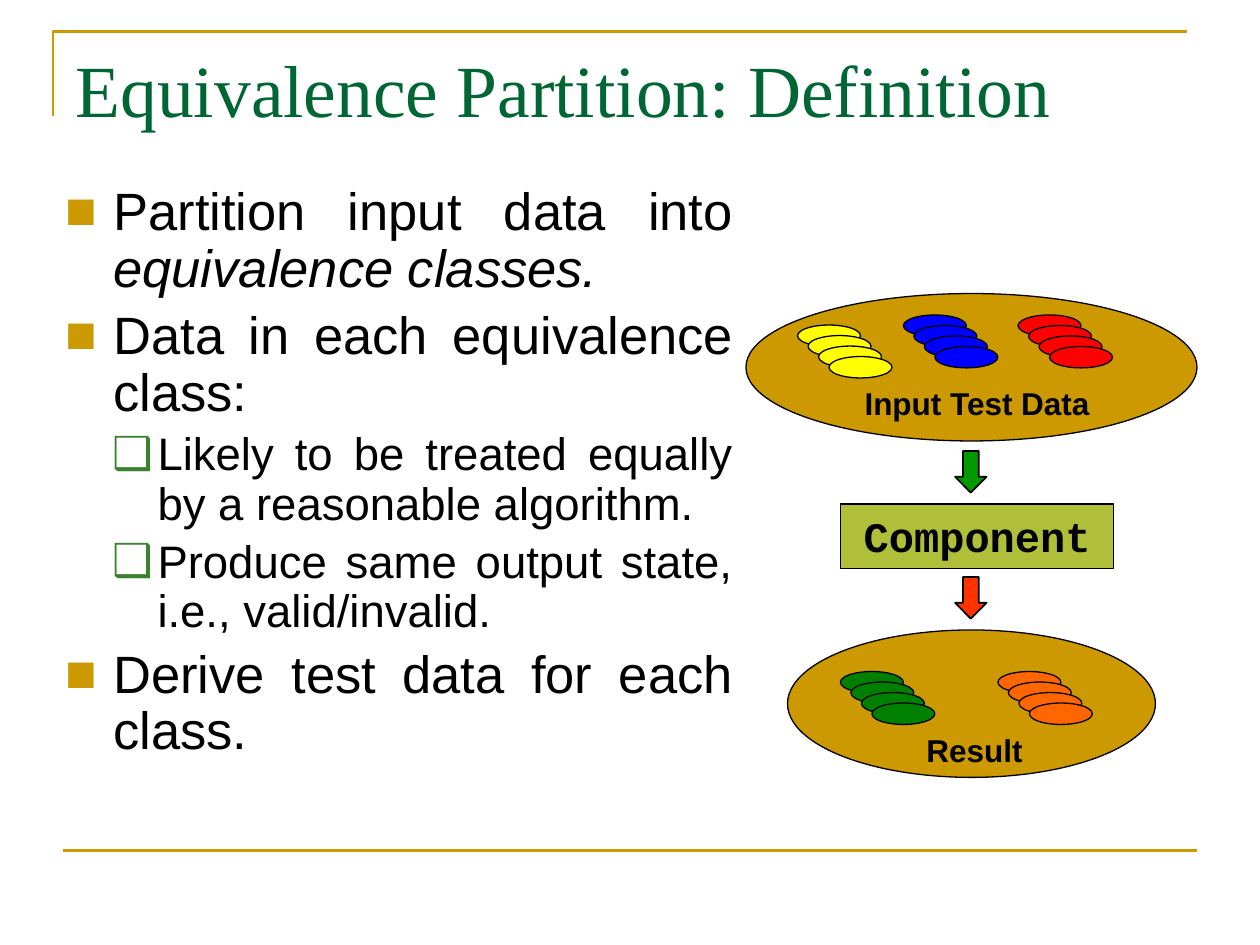
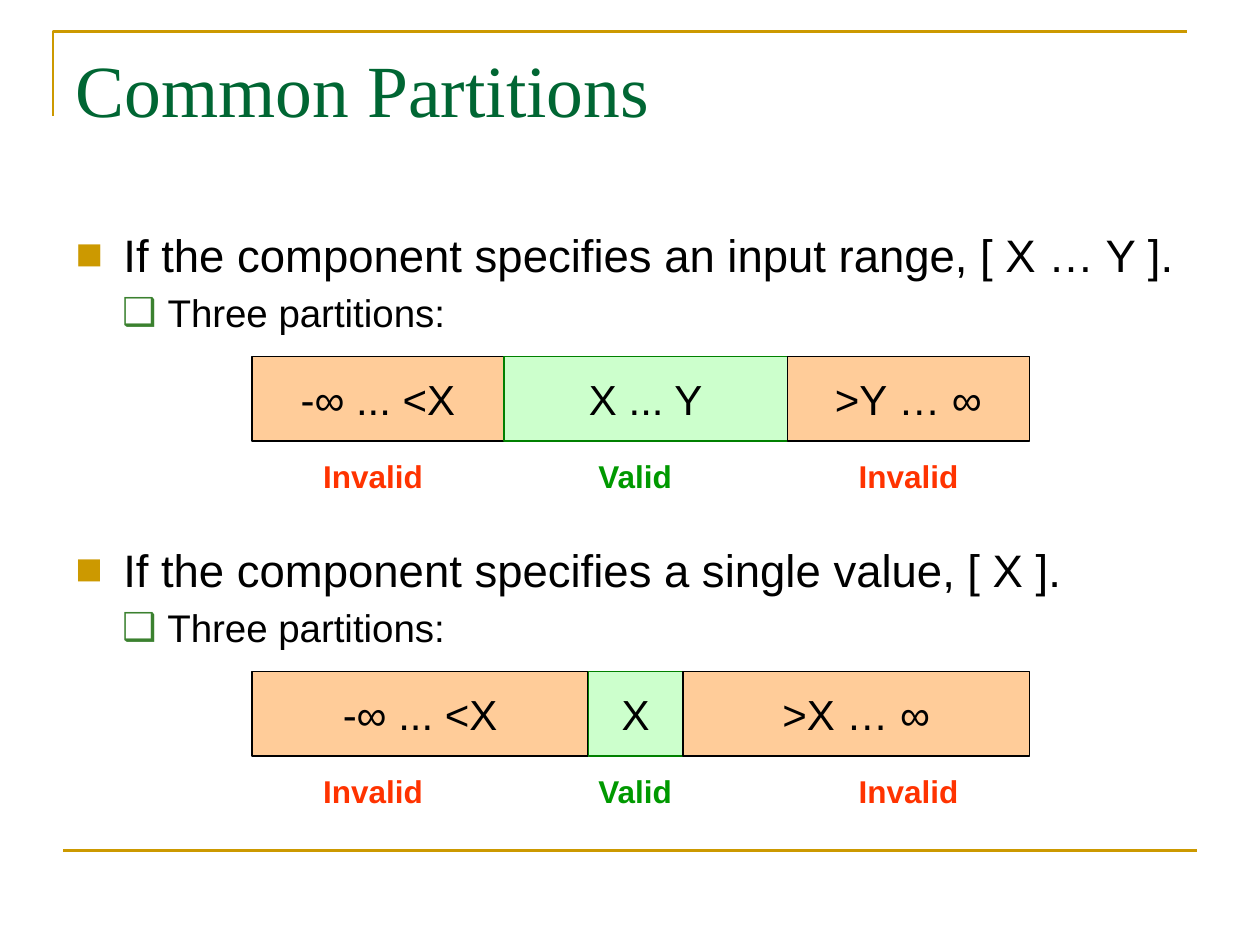
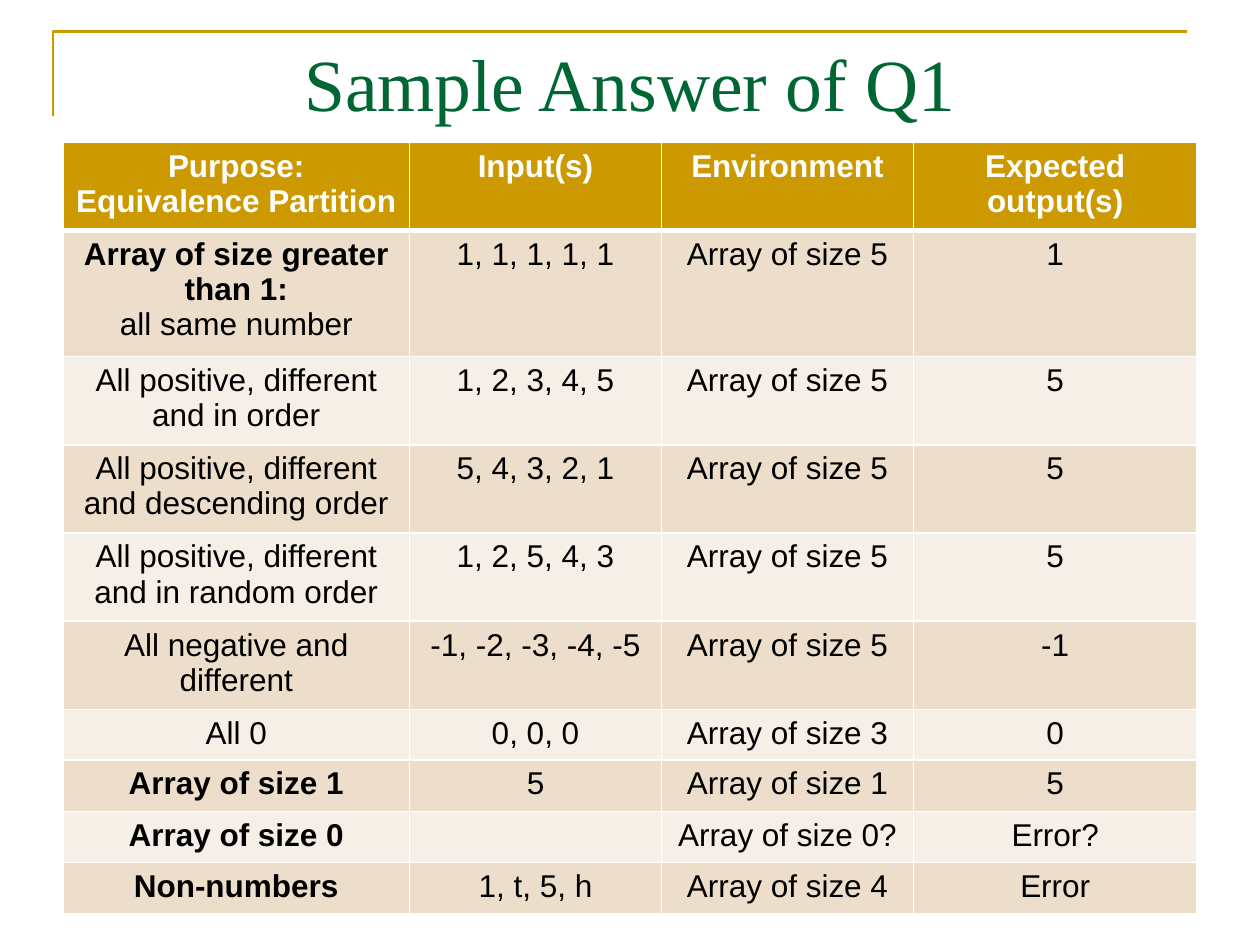
"""Build three slides on equivalence partitioning."""
from dataclasses import dataclass
from itertools import accumulate

from lxml.etree import SubElement
from pptx import Presentation
from pptx.dml.color import RGBColor
from pptx.enum.shapes import MSO_CONNECTOR, MSO_SHAPE
from pptx.enum.text import MSO_ANCHOR, MSO_AUTO_SIZE, PP_ALIGN
from pptx.oxml.ns import qn
from pptx.util import Inches, Pt


@dataclass(frozen=True)
class Theme:
    gold: str = "CC9900"
    title: str = "006633"
    bullet: str = "3B812F"
    black: str = "000000"
    white: str = "FFFFFF"
    component: str = "AFBF39"
    valid: str = "009900"
    invalid: str = "FF3300"
    valid_fill: str = "CCFFCC"
    valid_line: str = "008000"
    invalid_fill: str = "FFCC99"
    odd_row: str = "ECDECB"
    even_row: str = "F6EFE7"
    serif: str = "Times New Roman"
    sans: str = "Arial"
    mono: str = "Courier New"
    title_size: float = 42
    box_size: float = 24
    label_size: float = 18


THEME = Theme()
STEP = 1 / 12


@dataclass(frozen=True)
class Box:
    left: float
    top: float
    width: float
    height: float

    def lengths(self) -> tuple:
        """Return the four lengths in slide units."""
        return tuple(Inches(v) for v in (self.left, self.top, self.width, self.height))


@dataclass(frozen=True)
class Style:
    size: float = THEME.label_size
    color: str = THEME.black
    bold: bool = False
    font: str = THEME.sans


@dataclass(frozen=True)
class Span:
    text: str
    bold: bool = False
    italic: bool = False
    break_after: bool = False


@dataclass(frozen=True)
class Item:
    spans: tuple[Span, ...]
    level: int = 0


@dataclass(frozen=True)
class Level:
    mark: str
    color: str
    margin: float
    indent: float


@dataclass(frozen=True)
class Cluster:
    left: float
    top: float
    color: str


@dataclass(frozen=True)
class Partition:
    text: str
    width: float
    valid: bool = False


@dataclass(frozen=True)
class PartitionCase:
    top: float
    list_width: float
    condition: str
    partitions: tuple[Partition, ...]


@dataclass(frozen=True)
class Row:
    height: float
    purpose: tuple[tuple[Span, ...], ...]
    inputs: str
    environment: str
    output: str


LABEL = Style(bold=True)
BOX_TEXT = Style(size=THEME.box_size)
TITLE = Style(THEME.title_size, THEME.title, font=THEME.serif)
LEVELS = (
    Level("■", THEME.gold, 0.38, -0.38),
    Level("❑", THEME.bullet, 0.73, -0.36),
)

DEFINITION = (
    Item((Span("Partition input data into "), Span("equivalence classes.", italic=True))),
    Item((Span("Data in each equivalence class:"),)),
    Item((Span("Likely to be treated equally by a reasonable algorithm."),), 1),
    Item((Span("Produce same output state, i.e., valid/invalid."),), 1),
    Item((Span("Derive test data for each class."),)),
)
CLUSTERS = (
    Cluster(6.33, 2.58, "FFFF00"),
    Cluster(7.17, 2.5, "0000FF"),
    Cluster(8.08, 2.5, "FF0000"),
    Cluster(6.67, 5.33, "008000"),
    Cluster(7.92, 5.33, "FF6600"),
)
PARTITION_CASES = (
    PartitionCase(1.75, 9, "If the component specifies an input range, [ X … Y ].", (
        Partition("-∞ ... <X", 2),
        Partition("X ... Y", 2.25, True),
        Partition(">Y … ∞", 1.92),
    )),
    PartitionCase(4.25, 9.25, "If the component specifies a single value, [ X ].", (
        Partition("-∞ ... <X", 2.67),
        Partition("X", 0.75, True),
        Partition(">X … ∞", 2.75),
    )),
)
PARTITION_LABEL_LEFTS = (2.25, 4.33, 6.5)


def plain(text: str, bold: bool = False) -> tuple[tuple[Span, ...], ...]:
    """Wrap a text as one paragraph of one span."""
    return ((Span(text, bold),),)


COLUMN_WIDTHS = (2.75, 2, 2, 2.25)
ROWS = (
    Row(0.7, plain("Purpose:") + plain("Equivalence Partition"),
        "Input(s)", "Environment", "Expected output(s)"),
    Row(1, ((Span("Array of size greater than 1:", True, break_after=True),
             Span("all same number")),), "1, 1, 1, 1, 1", "Array of size 5", "1"),
    Row(0.7, plain("All positive, different and in order"),
        "1, 2, 3, 4, 5", "Array of size 5", "5"),
    Row(0.7, plain("All positive, different and descending order"),
        "5, 4, 3, 2, 1", "Array of size 5", "5"),
    Row(0.7, plain("All positive, different and in random order"),
        "1, 2, 5, 4, 3", "Array of size 5", "5"),
    Row(0.7, plain("All negative and different"),
        "-1, -2, -3, -4, -5", "Array of size 5", "-1"),
    Row(0.4, plain("All 0"), "0, 0, 0", "Array of size 3", "0"),
    Row(0.41, plain("Array of size 1", True), "5", "Array of size 1", "5"),
    Row(0.4, plain("Array of size 0", True), "", "Array of size 0?", "Error?"),
    Row(0.41, plain("Non-numbers", True), "1, t, 5, h", "Array of size 4", "Error"),
)


def rgb(color: str) -> RGBColor:
    """Convert a hex colour."""
    return RGBColor.from_string(color)


def write(paragraph, spans: tuple[Span, ...], style: Style) -> None:
    """Add styled runs to a paragraph."""
    for span in spans:
        run = paragraph.add_run()
        run.text = span.text
        run.font.name = style.font
        run.font.size = Pt(style.size)
        run.font.bold = style.bold or span.bold
        run.font.italic = span.italic
        run.font.color.rgb = rgb(style.color)
        if span.break_after:
            paragraph.add_line_break()


def place(shape, box: Box) -> None:
    """Move and size a placeholder."""
    shape.left, shape.top, shape.width, shape.height = box.lengths()


def stroke(line, color: str, width: float) -> None:
    """Set a line's colour and width."""
    line.color.rgb = rgb(color)
    line.width = Pt(width)


def add_figure(shapes, kind: MSO_SHAPE, box: Box, fill: str,
               line: str = THEME.black, width: float = 0.75):
    """Add a filled and outlined preset shape."""
    figure = shapes.add_shape(kind, *box.lengths())
    figure.shadow.inherit = False
    figure.fill.solid()
    figure.fill.fore_color.rgb = rgb(fill)
    stroke(figure.line, line, width)
    return figure


def write_centered(shape, text: str, style: Style) -> None:
    """Write one centred line in a shape."""
    paragraph = shape.text_frame.paragraphs[0]
    paragraph.alignment = PP_ALIGN.CENTER
    write(paragraph, (Span(text),), style)


def add_label(shapes, text: str, box: Box, color: str = THEME.black) -> None:
    """Add a bold centred label."""
    label = shapes.add_textbox(*box.lengths())
    label.text_frame.word_wrap = False
    write_centered(label, text, Style(color=color, bold=True))


def add_bullet(paragraph, level: Level) -> None:
    """Give a paragraph its mark and hanging indent."""
    properties = paragraph._p.get_or_add_pPr()
    properties.set("marL", str(Inches(level.margin)))
    properties.set("indent", str(Inches(level.indent)))
    color = SubElement(properties, qn("a:buClr"))
    SubElement(color, qn("a:srgbClr"), val=level.color)
    SubElement(properties, qn("a:buFont"), typeface=THEME.sans)
    SubElement(properties, qn("a:buChar"), char=level.mark)


def fill_list(shape, items: tuple[Item, ...], sizes: tuple[float, float],
              alignment: PP_ALIGN = PP_ALIGN.LEFT, spacing: float = 1.0) -> None:
    """Write a two-level bulleted list."""
    frame = shape.text_frame
    frame.word_wrap = True
    frame.auto_size = MSO_AUTO_SIZE.NONE
    for index, item in enumerate(items):
        paragraph = frame.add_paragraph() if index else frame.paragraphs[0]
        size = sizes[item.level]
        paragraph.level = item.level
        paragraph.alignment = alignment
        paragraph.line_spacing = spacing
        paragraph.space_before = Pt(0.2 * size if index else 0)
        add_bullet(paragraph, LEVELS[item.level])
        write(paragraph, item.spans, Style(size))


def start_slide(deck, layout: int, title: str, box: Box = Box(0.5, 0.3, 9, 1.25),
                alignment: PP_ALIGN = PP_ALIGN.LEFT):
    """Add a slide with its title and gold frame lines."""
    slide = deck.slides.add_slide(deck.slide_layouts[layout])
    heading = slide.shapes.title
    place(heading, box)
    heading.text_frame.vertical_anchor = MSO_ANCHOR.TOP
    heading.text_frame.auto_size = MSO_AUTO_SIZE.NONE
    heading.text_frame.paragraphs[0].alignment = alignment
    write(heading.text_frame.paragraphs[0], (Span(title),), TITLE)

    outline = slide.shapes.build_freeform(Inches(0.42), Inches(0.92))
    outline.add_line_segments(
        [(Inches(0.42), Inches(0.25)), (Inches(9.42), Inches(0.25))], close=False)
    corner = outline.convert_to_shape()
    corner.shadow.inherit = False
    corner.fill.background()
    stroke(corner.line, THEME.gold, 1.5)

    footer = slide.shapes.add_connector(
        MSO_CONNECTOR.STRAIGHT, Inches(0.5), Inches(6.75), Inches(9.5), Inches(6.75))
    stroke(footer.line, THEME.gold, 1.5)
    SubElement(footer._element.spPr, qn("a:effectLst"))
    return slide


def add_cluster(shapes, cluster: Cluster) -> None:
    """Add four overlapping data ellipses."""
    group = shapes.add_group_shape()
    for index in range(4):
        shift = index * STEP
        box = Box(cluster.left + shift, cluster.top + shift, 0.5, 0.17)
        add_figure(group.shapes, MSO_SHAPE.OVAL, box, cluster.color)


def build_definition(deck) -> None:
    """Build the definition slide with its data flow."""
    slide = start_slide(deck, 1, "Equivalence Partition: Definition")
    shapes = slide.shapes
    body = slide.placeholders[1]
    place(body, Box(0.42, 1.42, 5.5, 5.29))
    fill_list(body, DEFINITION, (30, 26), PP_ALIGN.JUSTIFY, 0.9)

    component = add_figure(shapes, MSO_SHAPE.RECTANGLE, Box(6.67, 4, 2.17, 0.51),
                           THEME.component)
    write_centered(component, "Component", Style(THEME.box_size, bold=True, font=THEME.mono))
    for box in (Box(6.25, 5, 2.92, 1.17), Box(5.92, 2.33, 3.58, 1.17)):
        add_figure(shapes, MSO_SHAPE.OVAL, box, THEME.gold)
    add_label(shapes, "Input Test Data", Box(6.75, 3, 2.01, 0.4))
    for cluster in CLUSTERS:
        add_cluster(shapes, cluster)
    for top, color in ((3.58, THEME.valid), (4.58, THEME.invalid)):
        add_figure(shapes, MSO_SHAPE.DOWN_ARROW, Box(7.58, top, 0.25, 0.33), color, width=1)
    add_label(shapes, "Result", Box(7.25, 5.75, 0.97, 0.4))


def add_partition_bar(shapes, partitions: tuple[Partition, ...], top: float) -> None:
    """Add adjoining partitions with their validity labels."""
    group = shapes.add_group_shape().shapes
    lefts = accumulate((part.width for part in partitions), initial=2)
    for part, left, label_left in zip(partitions, lefts, PARTITION_LABEL_LEFTS):
        fill, line, word, color = (
            (THEME.valid_fill, THEME.valid_line, "Valid", THEME.valid) if part.valid
            else (THEME.invalid_fill, THEME.black, "Invalid", THEME.invalid))
        segment = add_figure(group, MSO_SHAPE.RECTANGLE, Box(left, top, part.width, 0.67),
                             fill, line, 1)
        segment.text_frame.vertical_anchor = MSO_ANCHOR.MIDDLE
        write_centered(segment, part.text, BOX_TEXT)
        add_label(group, word, Box(label_left, top + 0.75, 1.42, 0.4), color)


def build_partitions(deck) -> None:
    """Build the slide of common partitions."""
    slide = start_slide(deck, 1, "Common Partitions")
    for index, case in enumerate(PARTITION_CASES):
        box = Box(0.5, case.top, case.list_width, 1.08)
        if index:
            conditions = slide.shapes.add_textbox(*box.lengths())
        else:
            conditions = slide.placeholders[1]
            place(conditions, box)
        items = (Item((Span(case.condition),)), Item((Span("Three partitions:"),), 1))
        fill_list(conditions, items, (26, 22))
        add_partition_bar(slide.shapes, case.partitions, case.top + 1.08)


def add_borders(cell, top: float, bottom: float) -> None:
    """Draw white borders around a cell."""
    properties = cell._tc.get_or_add_tcPr()
    widths = {"a:lnL": 1, "a:lnR": 1, "a:lnT": top, "a:lnB": bottom}
    for index, (tag, width) in enumerate(widths.items()):
        border = SubElement(properties, qn(tag), w=str(Pt(width)))
        fill = SubElement(border, qn("a:solidFill"))
        SubElement(fill, qn("a:srgbClr"), val=THEME.white)
        properties.insert(index, border)


def fill_cell(cell, paragraphs: tuple[tuple[Span, ...], ...], row_index: int) -> None:
    """Fill, border and write one table cell."""
    header = row_index == 0
    fill = THEME.gold if header else (THEME.even_row, THEME.odd_row)[row_index % 2]
    cell.fill.solid()
    cell.fill.fore_color.rgb = rgb(fill)
    add_borders(cell, 3 if row_index == 1 else 1, 3 if header else 1)
    style = Style(color=THEME.white, bold=True) if header else Style()
    for index, spans in enumerate(paragraphs):
        frame = cell.text_frame
        paragraph = frame.add_paragraph() if index else frame.paragraphs[0]
        paragraph.alignment = PP_ALIGN.CENTER
        write(paragraph, tuple(span for span in spans if span.text), style)


def build_answer(deck) -> None:
    """Build the sample answer table."""
    slide = start_slide(deck, 5, "Sample Answer of Q1", Box(0.5, 0.25, 9, 0.61),
                        PP_ALIGN.CENTER)
    box = Box(0.5, 1.13, sum(COLUMN_WIDTHS), sum(row.height for row in ROWS))
    table = slide.shapes.add_table(len(ROWS), len(COLUMN_WIDTHS), *box.lengths()).table
    table.horz_banding = False
    for column, width in zip(table.columns, COLUMN_WIDTHS):
        column.width = Inches(width)
    for index, row in enumerate(ROWS):
        table.rows[index].height = Inches(row.height)
        texts = (row.purpose, *map(plain, (row.inputs, row.environment, row.output)))
        for cell, paragraphs in zip(table.rows[index].cells, texts):
            fill_cell(cell, paragraphs, index)


def main() -> None:
    """Build and save the deck."""
    deck = Presentation()
    deck.slide_width, deck.slide_height = Inches(10), Inches(7.5)
    build_definition(deck)
    build_partitions(deck)
    build_answer(deck)
    deck.save("out.pptx")


if __name__ == "__main__":
    main()
